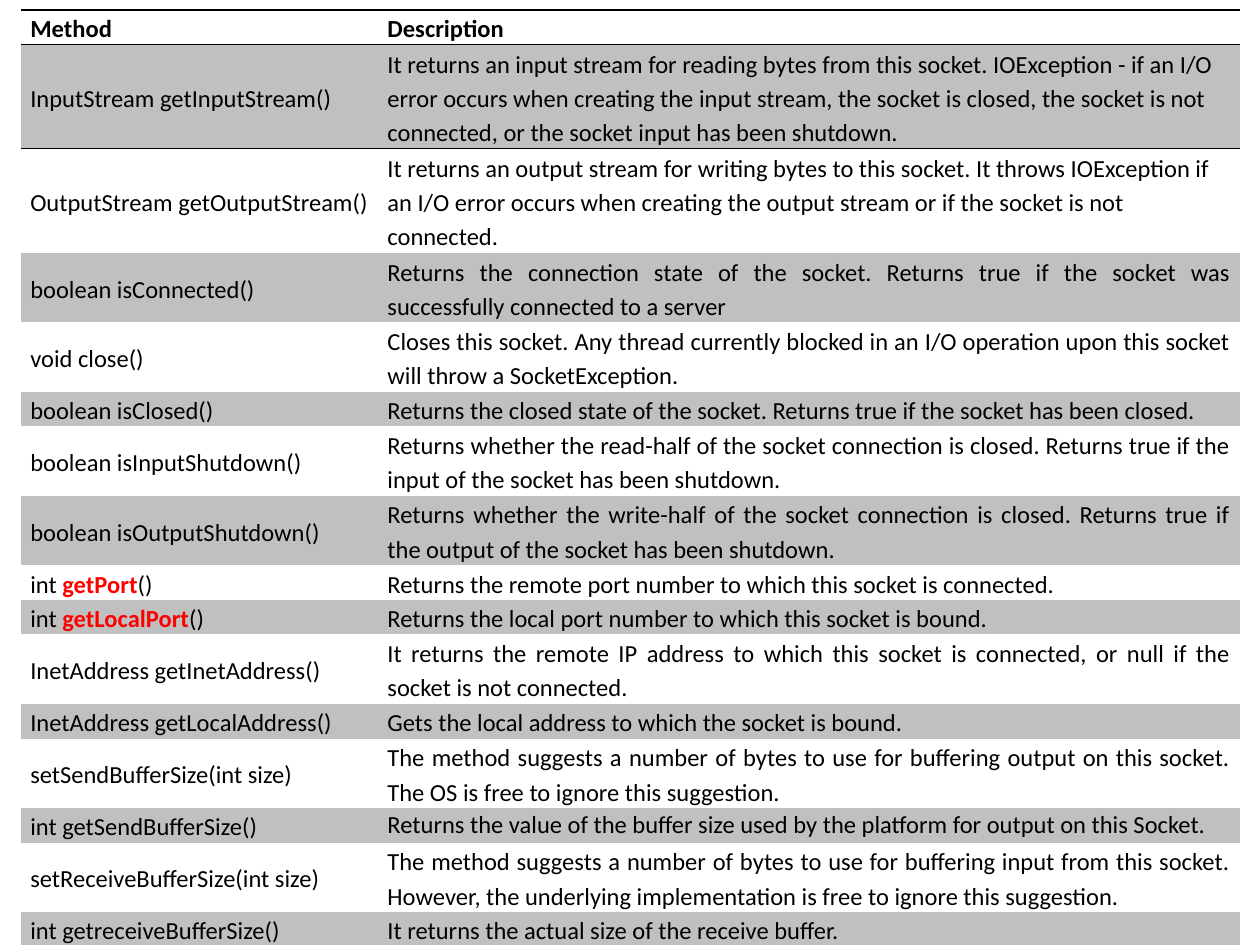
"""Build a slide with a reference table of socket methods."""
from lxml.etree import SubElement
from pptx import Presentation
from pptx.dml.color import RGBColor
from pptx.enum.text import MSO_ANCHOR, PP_ALIGN
from pptx.oxml.ns import qn
from pptx.util import Cm, Pt

HEADER = ("Method", "Description", 1)
METHODS = [
    ("InputStream getInputStream()", "It returns an input stream for reading bytes from this socket. IOException - if an I/O error occurs when creating the input stream, the socket is closed, the socket is not connected, or the socket input has been shutdown.", 3),
    ("OutputStream getOutputStream()", "It returns an output stream for writing bytes to this socket. It throws IOException if an I/O error occurs when creating the output stream or if the socket is not connected.", 3),
    ("boolean isConnected()", "Returns the connection state of the socket. Returns true if the socket was successfully connected to a server", 2),
    ("void close()", "Closes this socket. Any thread currently blocked in an I/O operation upon this socket will throw a SocketException.", 2),
    ("boolean isClosed()", "Returns the closed state of the socket. Returns true if the socket has been closed.", 1),
    ("boolean isInputShutdown()", "Returns whether the read-half of the socket connection is closed. Returns true if the input of the socket has been shutdown.", 2),
    ("boolean isOutputShutdown()", "Returns whether the write-half of the socket connection is closed. Returns true if the output of the socket has been shutdown.", 2),
    ("int getPort()", "Returns the remote port number to which this socket is connected.", 1),
    ("int getLocalPort()", "Returns the local port number to which this socket is bound.", 1),
    ("InetAddress getInetAddress()", "It returns the remote IP address to which this socket is connected, or null if the socket is not connected.", 2),
    ("InetAddress getLocalAddress()", "Gets the local address to which the socket is bound.", 1),
    ("setSendBufferSize(int size)", "The method suggests a number of bytes to use for buffering output on this socket. The OS is free to ignore this suggestion.", 2),
    ("int getSendBufferSize()", "Returns the value of the buffer size used by the platform for output on this Socket.", 1),
    ("setReceiveBufferSize(int size)", "The method suggests a number of bytes to use for buffering input from this socket. However, the underlying implementation is free to ignore this suggestion.", 2),
    ("int getreceiveBufferSize()", "It returns the actual size of the receive buffer.", 1),
]
HIGHLIGHTS = ("getPort", "getLocalPort")
SINGLE_SPACED = "Returns the value of the buffer size"
BLACK, RED, GREY = "000000", "FF0000", "C0C0C0"
LEFT, TOP, LINE_HEIGHT = Cm(0.43), Cm(0.2), Cm(0.7)
COLUMN_WIDTHS = (Cm(7.2), Cm(17.36))
NO_STYLE = "{2D5ABB26-0587-4C30-8999-92F81FD0307C}"


def color(value):
    return RGBColor.from_string(value)


def add_text(paragraph, text, tint, bold):
    run = paragraph.add_run()
    run.text = text
    run.font.name, run.font.size = "Calibri", Pt(14)
    run.font.bold = bold
    run.font.color.rgb = color(tint)


def write_cell(cell, text, bold, justified):
    cell.vertical_anchor = MSO_ANCHOR.MIDDLE
    cell.margin_left = cell.margin_right = Cm(0.18)
    cell.margin_top = cell.margin_bottom = 0
    paragraph = cell.text_frame.paragraphs[0]
    single_spaced = text.startswith(SINGLE_SPACED)
    if not single_spaced:
        paragraph.line_spacing = 1.15
    if justified and not single_spaced:
        paragraph.alignment = PP_ALIGN.JUSTIFY
    name = next((n for n in HIGHLIGHTS if f" {n}(" in text), None)
    if name:
        before, after = text.split(name)
        add_text(paragraph, before, BLACK, False)
        add_text(paragraph, name, RED, True)
        add_text(paragraph, after, BLACK, False)
    else:
        add_text(paragraph, text, BLACK, bold)


def add_borders(cell, sides):
    for side in sides:
        line = SubElement(cell._tc.get_or_add_tcPr(), qn(f"a:{side}"), w=str(Pt(1)))
        fill = SubElement(line, qn("a:solidFill"))
        SubElement(fill, qn("a:srgbClr"), val=BLACK)


def borders_of(row):
    if row == 0:
        return ("lnT", "lnB")
    return {1: ("lnT",), len(METHODS): ("lnB",)}.get(row, ())


presentation = Presentation()
presentation.slide_width, presentation.slide_height = Cm(25.4), Cm(19.05)
slide = presentation.slides.add_slide(presentation.slide_layouts[6])

rows = [HEADER] + METHODS
height = LINE_HEIGHT * sum(lines for _, _, lines in rows)
frame = slide.shapes.add_table(len(rows), 2, LEFT, TOP, sum(COLUMN_WIDTHS), height)
methods = frame.table
methods.horz_banding = False
methods._tbl.tblPr.find(qn("a:tableStyleId")).text = NO_STYLE
for column, width in zip(methods.columns, COLUMN_WIDTHS):
    column.width = width

for row, (method, description, lines) in enumerate(rows):
    methods.rows[row].height = LINE_HEIGHT * lines
    for column, text in enumerate((method, description)):
        cell = methods.cell(row, column)
        write_cell(cell, text, bold=row == 0, justified=row > 2)
        add_borders(cell, borders_of(row))
        if row % 2:
            cell.fill.solid()
            cell.fill.fore_color.rgb = color(GREY)
        else:
            cell.fill.background()

presentation.save("out.pptx")
